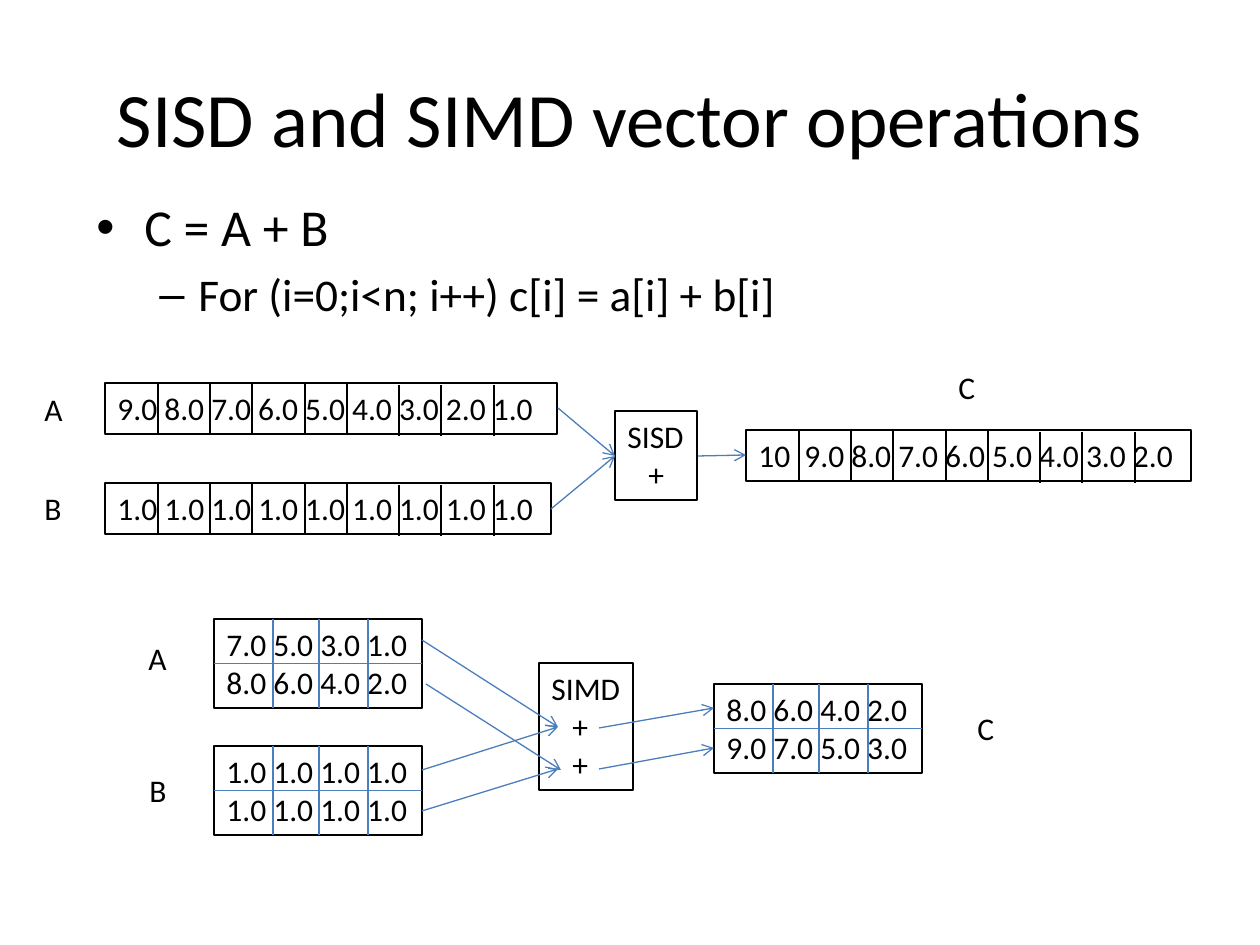
import dataclasses
import itertools

import pptx
import pptx.dml.color
import pptx.enum.shapes
import pptx.enum.text
import pptx.oxml.ns
import pptx.util
from lxml import etree

PX = 914400 / 126


def emu(px):
    """Turn pixels into EMU."""
    return pptx.util.Emu(round(px * PX))


def rgb(value):
    """Turn a hex string into a colour."""
    return pptx.dml.color.RGBColor.from_string(value)


def add_xml(parent, tag, **attrs):
    """Append a DrawingML element and return it."""
    return etree.SubElement(parent, pptx.oxml.ns.qn(tag), attrs)


@dataclasses.dataclass(frozen=True)
class Theme:
    """Colours, font and type sizes."""
    font: str = "Calibri"
    ink: str = "000000"
    accent: str = "4B7EBC"
    line: float = 0.75
    title: float = 44
    level1: float = 29.6
    level2: float = 25.9
    label: float = 18


class Deck:
    """Draws elements on the current slide in one style."""

    def __init__(self, prs, theme):
        """Start a blank slide."""
        self.theme = theme
        self.s = prs.slides.add_slide(prs.slide_layouts[6])

    def run(self, p, text, size):
        """Add one styled run to a paragraph."""
        r = p.add_run()
        r.text = text
        r.font.name = self.theme.font
        r.font.size = pptx.util.Pt(size)
        r.font.color.rgb = rgb(self.theme.ink)

    def title(self, x, y, w, h, text):
        """Add the centred slide title."""
        tf = self.s.shapes.add_textbox(*map(emu, (x, y, w, h))).text_frame
        tf.word_wrap = True
        tf.vertical_anchor = pptx.enum.text.MSO_ANCHOR.MIDDLE
        tf.paragraphs[0].alignment = pptx.enum.text.PP_ALIGN.CENTER
        self.run(tf.paragraphs[0], text, self.theme.title)

    def bullets(self, x, y, w, h, items):
        """Add bullets given as (level, mark, margin, hanging, size, text)."""
        tf = self.s.shapes.add_textbox(*map(emu, (x, y, w, h))).text_frame
        tf.word_wrap = True
        for i, (level, mark, margin, hanging, size, text) in enumerate(items):
            p = tf.add_paragraph() if i else tf.paragraphs[0]
            p.level = level
            p.space_before = pptx.util.Pt(round(size * 0.2, 1))
            pPr = p._p.get_or_add_pPr()
            pPr.set("marL", str(emu(margin)))
            pPr.set("indent", str(-emu(hanging)))
            add_xml(pPr, "a:buFont", typeface="Arial")
            add_xml(pPr, "a:buChar", char=mark)
            self.run(p, text, size)

    def fill_text(self, sp, lines, indent=0, tab=0):
        """Write unwrapped lines; indent those after the first."""
        tf = sp.text_frame
        tf.word_wrap = False
        tf.auto_size = pptx.enum.text.MSO_AUTO_SIZE.SHAPE_TO_FIT_TEXT
        tf.vertical_anchor = pptx.enum.text.MSO_ANCHOR.TOP
        for i, text in enumerate(lines):
            p = tf.add_paragraph() if i else tf.paragraphs[0]
            p.alignment = pptx.enum.text.PP_ALIGN.LEFT
            pPr = p._p.get_or_add_pPr()
            if i and indent:
                pPr.set("marL", str(emu(indent)))
            if tab:
                stops = add_xml(pPr, "a:tabLst")
                add_xml(stops, "a:tab", pos=str(emu(tab)), algn="l")
            self.run(p, text, self.theme.label)

    def label(self, x, y, text):
        """Add a vector name."""
        sp = self.s.shapes.add_textbox(*map(emu, (x, y, 43, 51)))
        self.fill_text(sp, [text])

    def box(self, x, y, w, h, lines, indent=0, tab=0):
        """Add an outlined box with text."""
        sp = self.s.shapes.add_shape(
            pptx.enum.shapes.MSO_SHAPE.RECTANGLE, *map(emu, (x, y, w, h)))
        sp.shadow.inherit = False
        sp.fill.background()
        sp.line.color.rgb = rgb(self.theme.ink)
        sp.line.width = pptx.util.Pt(self.theme.line)
        self.fill_text(sp, lines, indent, tab)

    def line(self, x1, y1, x2, y2, color, arrow=False):
        """Add a straight line, with an arrowhead at its end if asked."""
        cx = self.s.shapes.add_connector(
            pptx.enum.shapes.MSO_CONNECTOR.STRAIGHT, *map(emu, (x1, y1, x2, y2)))
        cx.line.color.rgb = rgb(color)
        cx.line.width = pptx.util.Pt(self.theme.line)
        if arrow:
            add_xml(cx.line._get_or_add_ln(), "a:tailEnd", type="arrow")
        add_xml(cx._element.spPr, "a:effectLst")

    def vector(self, x, y, w, text, tab=0):
        """Add a one-row vector; its last three dividers sit lower."""
        h = 51
        self.box(x, y, w, h, [text], tab=tab)
        steps = (53, 52, 42, 53, 42, 52, 42, 53)
        for i, dx in enumerate(itertools.accumulate(steps)):
            top = y + (2 if i >= 5 else 0)
            self.line(x + dx, top, x + dx, top + h, self.theme.ink)

    def grid(self, x, y, rows):
        """Add a two-row packed vector with its dividers."""
        w, h = 208, 89
        self.box(x, y, w, h, rows)
        self.line(x, y + h / 2, x + w, y + h / 2, self.theme.accent)
        for dx in (59, 105, 154):
            self.line(x + dx, y, x + dx, y + h, self.theme.accent)


prs = pptx.Presentation()
prs.slide_width, prs.slide_height = emu(1260), emu(945)
theme = Theme()
deck = Deck(prs, theme)

deck.title(63, 38, 1134, 157, "SISD and SIMD vector operations")
deck.bullets(84, 189, 1134, 136, [
    (0, "\u2022", 48, 48, theme.level1, "C = A + B"),
    (1, "\u2013", 102, 39, theme.level2, "For (i=0;i<n; i++) c[i] = a[i] + b[i]"),
])

deck.vector(105, 383, 452, "9.0 8.0 7.0 6.0 5.0 4.0 3.0 2.0 1.0")
deck.vector(105, 483, 446, " ".join(["1.0"] * 9))
deck.vector(746, 430, 445, "10\t9.0 8.0 7.0 6.0 5.0 4.0 3.0 2.0", tab=46)
deck.box(615, 411, 82, 89, ["SISD", "+"], indent=21)

deck.grid(214, 619, ["7.0 5.0 3.0 1.0", "8.0 6.0 4.0 2.0"])
deck.grid(214, 746, ["1.0 1.0 1.0 1.0"] * 2)
deck.grid(714, 684, ["8.0 6.0 4.0 2.0", "9.0 7.0 5.0 3.0"])
deck.box(539, 663, 94, 127, ["SIMD", "+", "+"], indent=21)

sisd_arrows = [(558, 408, 615, 456), (551, 509, 615, 456), (698, 456, 746, 455)]
simd_arrows = [
    (422, 640, 558, 727), (426, 684, 561, 770),
    (422, 770, 558, 727), (422, 811, 558, 769),
    (599, 728, 714, 708), (599, 769, 714, 748),
]
for ends in sisd_arrows + simd_arrows:
    deck.line(*ends, theme.accent, arrow=True)

for x, y, name in [(32, 384, "A"), (32, 483, "B"), (946, 362, "C"),
                   (136, 633, "A"), (137, 765, "B"), (965, 703, "C")]:
    deck.label(x, y, name)

prs.save("out.pptx")
